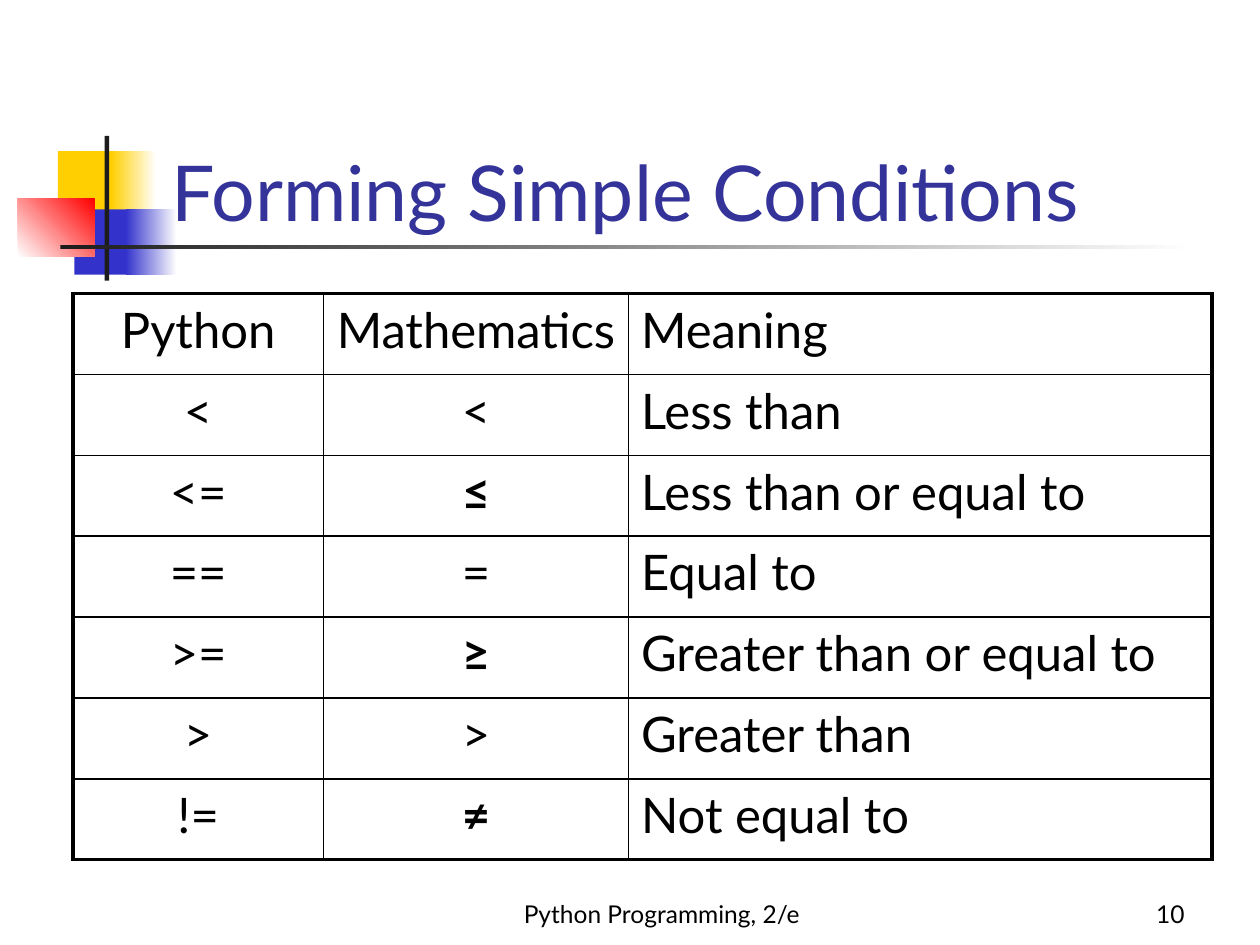
from dataclasses import dataclass

from lxml import etree
from pptx import Presentation
from pptx.dml.color import RGBColor
from pptx.enum import shapes, text
from pptx.oxml import ns
from pptx.util import Cm, Pt


@dataclass(frozen=True)
class Theme:
    font: str = "Lato"
    ink: str = "000000"
    title: str = "333399"
    yellow: str = "FFCF01"
    blue: str = "3333CC"
    red: str = "FF0000"
    bar: str = "1C1C1C"
    paper: str = "FFFFFF"
    title_size: float = 44
    table_size: float = 28
    footer_size: float = 14
    outer_border: float = 2.25
    inner_border: float = 1


THEME = Theme()
LEFT, CENTER, RIGHT = text.PP_ALIGN.LEFT, text.PP_ALIGN.CENTER, text.PP_ALIGN.RIGHT

# Left, top, width, height in cm; start colour, end colour, gradient angle
ORNAMENTS = [
    (1.17, 3.05, 1.22, 1.32, THEME.yellow, None, 0),
    (2.24, 3.05, 0.91, 1.32, THEME.yellow, THEME.paper, 0),
    (1.5, 4.22, 1.17, 1.32, THEME.blue, None, 0),
    (2.54, 4.22, 1.02, 1.32, THEME.blue, THEME.paper, 0),
    (0.36, 4.01, 1.55, 1.17, THEME.paper, THEME.red, 45),
    (2.11, 2.74, 0.09, 2.92, THEME.bar, None, 0),
    (1.22, 4.94, 22.86, 0.09, THEME.bar, THEME.paper, 0),
]

CONDITIONS = [
    ("Python", "Mathematics", "Meaning"),
    ("<", "<", "Less than"),
    ("<=", "≤", "Less than or equal to"),
    ("==", "=", "Equal to"),
    (">=", "≥", "Greater than or equal to"),
    (">", ">", "Greater than"),
    ("!=", "≠", "Not equal to"),
]
COLUMN_WIDTHS = (5.05, 6.15, 11.76)
ROW_HEIGHT = 1.63


def write(frame, wording, size, color=THEME.ink, align=LEFT, bold=False):
    paragraph = frame.paragraphs[0]
    paragraph.alignment = align
    run = paragraph.add_run()
    run.text = wording
    run.font.name = THEME.font
    run.font.size = Pt(size)
    run.font.bold = bold
    run.font.color.rgb = RGBColor.from_string(color)


def add_ornament(slide, left, top, width, height, start, end, angle):
    """Add a borderless block, solid when it has no end colour."""
    block = slide.shapes.add_shape(
        shapes.MSO_SHAPE.RECTANGLE, Cm(left), Cm(top), Cm(width), Cm(height))
    block.shadow.inherit = False
    block.line.fill.background()
    if end is None:
        block.fill.solid()
        block.fill.fore_color.rgb = RGBColor.from_string(start)
        return
    block.fill.gradient()
    block.fill.gradient_angle = angle
    for stop, color in zip(block.fill.gradient_stops, (start, end)):
        stop.color.rgb = RGBColor.from_string(color)


def add_title(slide, wording):
    title = slide.shapes.title
    title.left, title.top, title.width, title.height = (
        Cm(3.2), Cm(1.73), Cm(21.64), Cm(3.18))
    frame = title.text_frame
    frame.auto_size = text.MSO_AUTO_SIZE.NONE
    frame.vertical_anchor = text.MSO_ANCHOR.BOTTOM
    write(frame, wording, THEME.title_size, THEME.title)


def add_footer(slide, wording, left, width, align):
    footer = slide.shapes.add_textbox(Cm(left), Cm(17.58), Cm(width), Cm(1.27))
    frame = footer.text_frame
    frame.word_wrap = True
    frame.vertical_anchor = text.MSO_ANCHOR.BOTTOM
    write(frame, wording, THEME.footer_size, align=align)


def set_borders(cell, widths):
    """Draw the cell's borders, given as points by side: L, R, T, B."""
    properties = cell._tc.get_or_add_tcPr()
    for side, width in widths.items():
        line = etree.SubElement(properties, ns.qn(f"a:ln{side}"), w=str(Pt(width)))
        fill = etree.SubElement(line, ns.qn("a:solidFill"))
        etree.SubElement(fill, ns.qn("a:srgbClr"), val=THEME.ink)


def add_conditions_table(slide):
    row_count, column_count = len(CONDITIONS), len(COLUMN_WIDTHS)
    table = slide.shapes.add_table(
        row_count, column_count, Cm(1.47), Cm(5.92),
        Cm(sum(COLUMN_WIDTHS)), Cm(ROW_HEIGHT * row_count)).table
    table.first_row = table.horz_banding = False
    for column, width in zip(table.columns, COLUMN_WIDTHS):
        column.width = Cm(width)
    for r, wordings in enumerate(CONDITIONS):
        table.rows[r].height = Cm(ROW_HEIGHT)
        for c, wording in enumerate(wordings):
            cell = table.cell(r, c)
            on_edge = {"L": c == 0, "R": c == column_count - 1,
                       "T": r == 0, "B": r == row_count - 1}
            set_borders(cell, {
                side: THEME.outer_border if outer else THEME.inner_border
                for side, outer in on_edge.items()})
            cell.fill.background()
            write(cell.text_frame, wording, THEME.table_size,
                  align=LEFT if c == column_count - 1 else CENTER,
                  bold=wording in ("≤", "≥", "≠"))


def main():
    deck = Presentation()
    deck.slide_width, deck.slide_height = Cm(25.4), Cm(19.05)
    slide = deck.slides.add_slide(deck.slide_layouts.get_by_name("Title Only"))
    for ornament in ORNAMENTS:
        add_ornament(slide, *ornament)
    add_footer(slide, "Python Programming, 2/e", 9.32, 8.05, CENTER)
    add_footer(slide, "10", 18.85, 5.28, RIGHT)
    add_title(slide, "Forming Simple Conditions")
    add_conditions_table(slide)
    deck.save("out.pptx")


if __name__ == "__main__":
    main()
